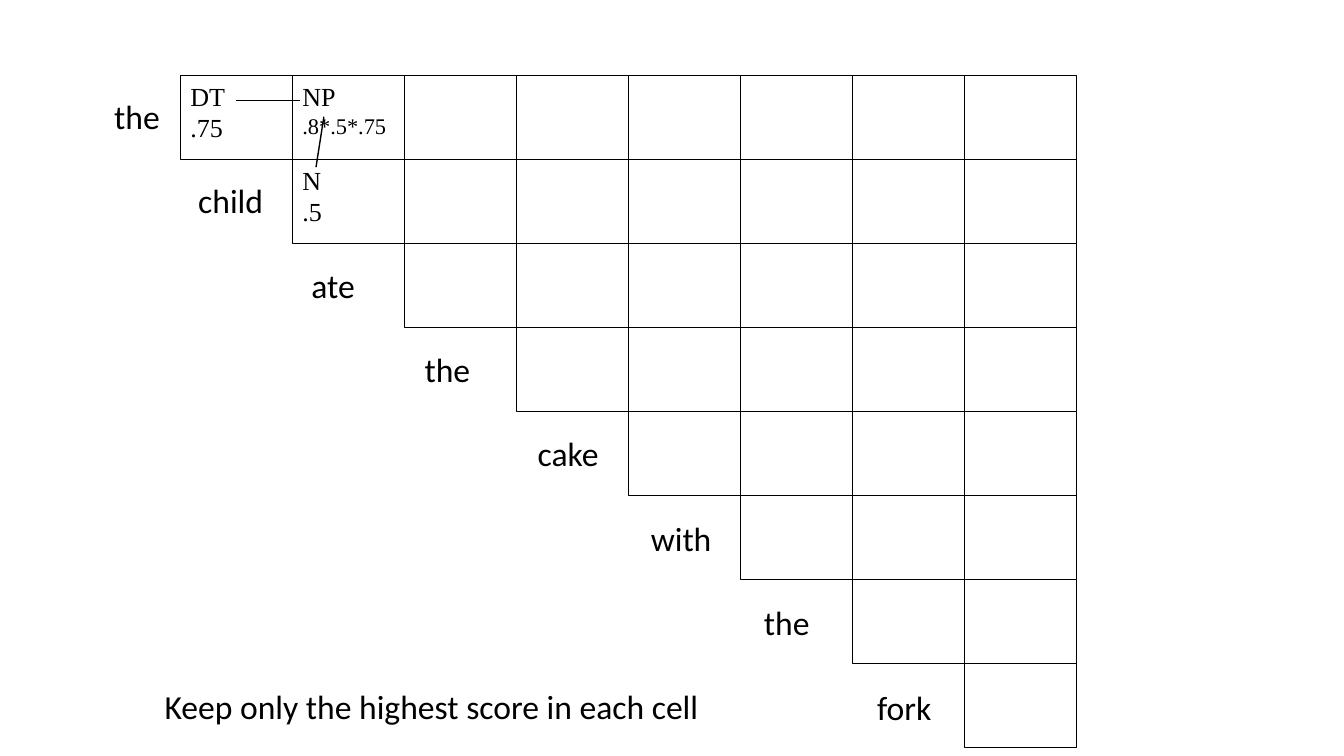
import pptx
import pptx.util
import pptx.dml.color
import pptx.enum.shapes
import pptx.enum.text
import pptx.oxml.ns
import lxml.etree

WORDS = ["the", "child", "ate", "the", "cake", "with", "the", "fork"]
WORD_COLS = [0.6, 0.82, 0.59, 0.6, 0.82, 0.74, 0.6, 0.69]
SCORES = {
    (0, 0): [("DT", 18.6), (".75", 18.6)],
    (0, 1): [("NP", 18.6), (".8*.5*.75", 16)],
    (1, 1): [("N", 18.6), (".5", 18.6)],
}
LINKS = [((1.07, 0.3), (0.5, 0.3)), ((1.28, 0.49), (1.21, 1.09))]


def rgb(value):
    return pptx.dml.color.RGBColor.from_string(value)


def add_text(p, text, size=24, font="Calibri", color="000000"):
    p.alignment = pptx.enum.text.PP_ALIGN.LEFT
    r = p.add_run()
    r.text = text
    r.font.size = pptx.util.Pt(size)
    r.font.name = font
    r.font.color.rgb = rgb(color)


class Chart:
    """Draws a parse chart on one slide, with lengths in grid columns and rows."""

    left, top = 1.79, 0.75
    col, row = 10 / 9, 5 / 6
    ink = "000000"
    cell_font = "Times New Roman"

    def __init__(self, slide):
        self.s = slide

    def x(self, cols):
        return pptx.util.Inches(self.left + cols * self.col)

    def y(self, rows):
        return pptx.util.Inches(self.top + rows * self.row)

    def box(self, col, row, cols, rows):
        width = pptx.util.Inches(cols * self.col)
        height = pptx.util.Inches(rows * self.row)
        return self.x(col), self.y(row), width, height

    def cell(self, row, col, lines):
        kind = pptx.enum.shapes.MSO_SHAPE.RECTANGLE
        sp = self.s.shapes.add_shape(kind, *self.box(col, row, 1, 1))
        sp.shadow.inherit = False
        sp.fill.background()
        sp.line.color.rgb = rgb(self.ink)
        sp.line.width = pptx.util.Pt(0.75)
        tf = sp.text_frame
        tf.vertical_anchor = pptx.enum.text.MSO_ANCHOR.TOP
        for i, (text, size) in enumerate(lines):
            p = tf.add_paragraph() if i else tf.paragraphs[0]
            add_text(p, text, size=size, font=self.cell_font, color=self.ink)

    def label(self, text, col, row, cols):
        tf = self.s.shapes.add_textbox(*self.box(col, row, cols, 0.6)).text_frame
        tf.word_wrap = False
        tf.auto_size = pptx.enum.text.MSO_AUTO_SIZE.SHAPE_TO_FIT_TEXT
        add_text(tf.paragraphs[0], text, color=self.ink)

    def link(self, start, end):
        kind = pptx.enum.shapes.MSO_CONNECTOR.STRAIGHT
        ends = self.x(start[0]), self.y(start[1]), self.x(end[0]), self.y(end[1])
        line = self.s.shapes.add_connector(kind, *ends)
        line.line.color.rgb = rgb(self.ink)
        line.line.width = pptx.util.Pt(1)
        sp_pr = line._element.spPr
        lxml.etree.SubElement(sp_pr, pptx.oxml.ns.qn("a:effectLst"))


def main():
    prs = pptx.Presentation()
    prs.slide_width = pptx.util.Inches(13.33)
    prs.slide_height = pptx.util.Inches(7.5)
    chart = Chart(prs.slides.add_slide(prs.slide_layouts[6]))

    for row in range(len(WORDS)):
        for col in range(row, len(WORDS)):
            chart.cell(row, col, SCORES.get((row, col), []))
    for i, (word, cols) in enumerate(zip(WORDS, WORD_COLS)):
        col = 1.01 * i - 0.94 if i else -0.68
        chart.label(word, col, 0.18 + 1.005 * i, cols)
    for start, end in LINKS:
        chart.link(start, end)
    chart.label("Keep only the highest score in each cell", -0.23, 7.21, 5.51)

    prs.save("out.pptx")


if __name__ == "__main__":
    main()
